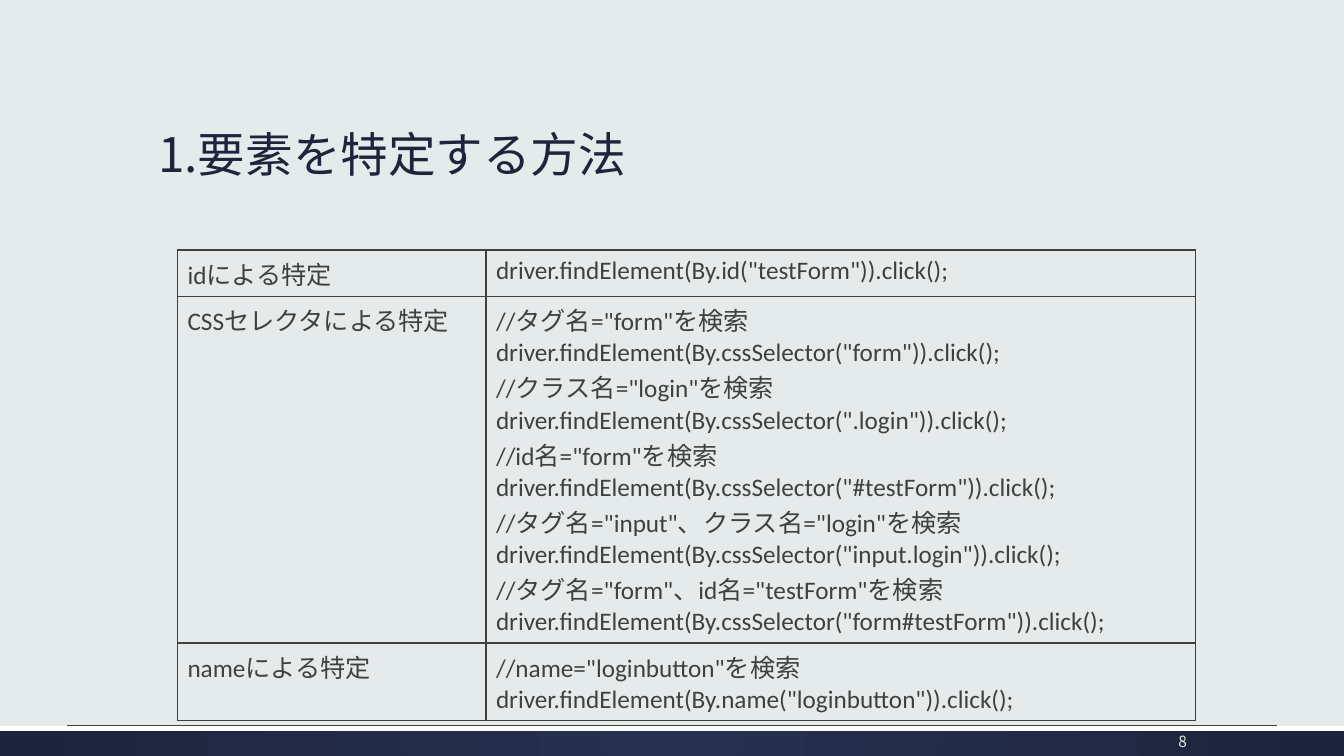
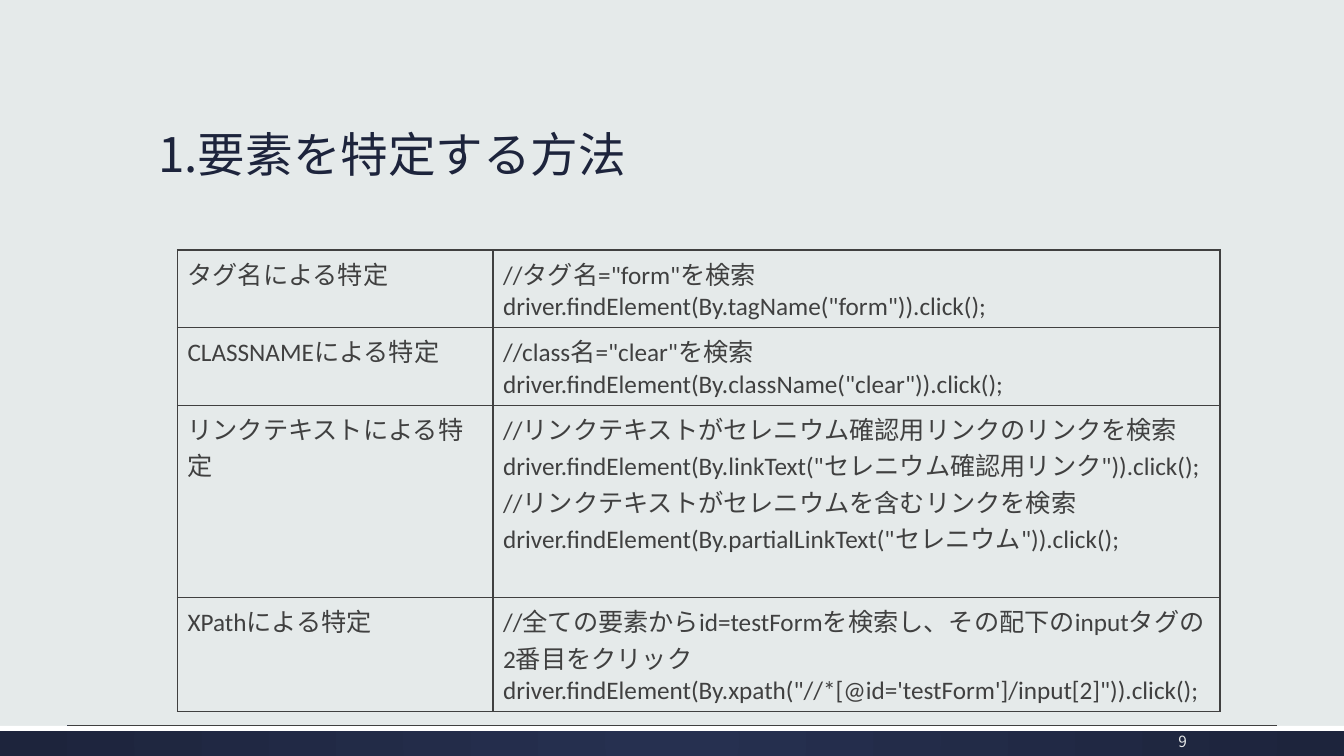
"""Build two slides with tables of ways to locate page elements."""
from lxml import etree
from pptx import Presentation
from pptx.dml.color import RGBColor
from pptx.enum.shapes import MSO_CONNECTOR, MSO_SHAPE
from pptx.enum.text import MSO_ANCHOR, MSO_AUTO_SIZE, PP_ALIGN
from pptx.oxml import parse_xml
from pptx.oxml.ns import nsdecls, qn
from pptx.util import Inches, Pt

RECT = MSO_SHAPE.RECTANGLE
STRAIGHT = MSO_CONNECTOR.STRAIGHT
LEFT, RIGHT = PP_ALIGN.LEFT, PP_ALIGN.RIGHT
TOP, MIDDLE, BOTTOM = MSO_ANCHOR.TOP, MSO_ANCHOR.MIDDLE, MSO_ANCHOR.BOTTOM

BACKGROUND, NAVY, NAVY_LIGHT = "E5EAEA", "1D243C", "263050"
WHITE, GREY, PALE = "FFFFFF", "404040", "E5E8E8"
CJK, LATIN = "Noto Sans CJK JP", "Calibri"

STYLES = {
    "title": {"font": CJK, "size": 34, "color": NAVY, "align": LEFT, "spacing": 0.9},
    "number": {"font": CJK, "size": 11, "color": PALE, "align": RIGHT, "spacing": 1},
    "cell": {"font": LATIN, "size": 18, "color": GREY, "align": LEFT, "spacing": 1},
}

WIDTH, HEIGHT = 13.33, 7.5
BAND_TOP, BAND_HEIGHT, STRIPE_HEIGHT = 7.2, 0.3, 0.05
RULE_LEFT, RULE_RIGHT = 0.67, 12.67
TITLE_BOX = (1.47, 0.51, 10.4, 1.35)
NUMBER_BOX = (11.17, 7.23, 0.7, 0.26)
TABLE_LEFT, TABLE_TOP = 1.76, 2.48
FIRST_NUMBER = 8

TITLE = "1.要素を特定する方法"
SLIDES = [
    {
        "columns": (3.06, 7.04),
        "heights": (0.46, 3.44, 0.77),
        "rows": [
            ("idによる特定", ['driver.findElement(By.id("testForm")).click();']),
            ("CSSセレクタによる特定", [
                '//タグ名="form"を検索',
                'driver.findElement(By.cssSelector("form")).click();',
                '//クラス名="login"を検索',
                'driver.findElement(By.cssSelector(".login")).click();',
                '//id名="form"を検索',
                'driver.findElement(By.cssSelector("#testForm")).click();',
                '//タグ名="input"、クラス名="login"を検索',
                'driver.findElement(By.cssSelector("input.login")).click();',
                '//タグ名="form"、id名="testForm"を検索',
                'driver.findElement(By.cssSelector("form#testForm")).click();',
            ]),
            ("nameによる特定", [
                '//name="loginbutton"を検索',
                'driver.findElement(By.name("loginbutton")).click();',
            ]),
        ],
    },
    {
        "columns": (3.13, 7.21),
        "heights": (0.77, 0.77, 1.91, 1.13),
        "rows": [
            ("タグ名による特定", [
                '//タグ名="form"を検索',
                'driver.findElement(By.tagName("form")).click();',
            ]),
            ("CLASSNAMEによる特定", [
                '//class名="clear"を検索',
                'driver.findElement(By.className("clear")).click();',
            ]),
            ("リンクテキストによる特定", [
                "//リンクテキストがセレニウム確認用リンクのリンクを検索",
                'driver.findElement(By.linkText("セレニウム確認用リンク")).click();',
                "//リンクテキストがセレニウムを含むリンクを検索",
                'driver.findElement(By.partialLinkText("セレニウム")).click();',
            ]),
            ("XPathによる特定", [
                "//全ての要素からid=testFormを検索し、その配下のinputタグの2番目をクリック",
                "driver.findElement(By.xpath(\"//*[@id='testForm']/input[2]\")).click();",
            ]),
        ],
    },
]


def rgb(color):
    return RGBColor.from_string(color)


def inches(box):
    return [Inches(v) for v in box]


def write(tf, lines, style):
    for i, line in enumerate(lines):
        p = tf.paragraphs[0] if i == 0 else tf.add_paragraph()
        p.alignment, p.line_spacing = style["align"], style["spacing"]
        r = p.add_run()
        r.text = line
        values = {"name": style["font"], "size": Pt(style["size"]), "bold": False}
        for name, value in values.items():
            setattr(r.font, name, value)
        r.font.color.rgb = rgb(style["color"])
        ea = etree.SubElement(r.font._element, qn("a:ea"))
        ea.set("typeface", CJK)


def add_band(s, top, height):
    sp = s.shapes.add_shape(RECT, *inches((0, top, WIDTH, height)))
    sp.shadow.inherit = False
    sp.line.fill.background()
    return sp


def add_footer(s, layout):
    band = add_band(s, BAND_TOP, BAND_HEIGHT)
    band.fill.gradient()
    for stop, color in zip(band.fill.gradient_stops, (NAVY_LIGHT, NAVY)):
        stop.color.rgb = rgb(color)
    grad = band.element.spPr.find(qn("a:gradFill"))
    grad.remove(grad.find(qn("a:lin")))
    grad.append(parse_xml(
        f'<a:path {nsdecls("a")} path="circle">'
        '<a:fillToRect l="50000" t="50000" r="50000" b="50000"/></a:path>'))

    stripe = add_band(s, BAND_TOP, STRIPE_HEIGHT)
    stripe.fill.solid()
    stripe.fill.fore_color.rgb = rgb(WHITE)

    rule = s.shapes.add_connector(
        STRAIGHT, *inches((RULE_LEFT, BAND_TOP, RULE_RIGHT, BAND_TOP)))
    rule.line.color.rgb = rgb(GREY)
    rule.line.width = Pt(0.75)
    etree.SubElement(rule.element.spPr, qn("a:effectLst"))

    for i, part in enumerate((band, stripe, rule)):
        part.element.xpath(".//p:cNvPr")[0].set("id", str(100 + i))
        layout.shapes.element.append(part.element)


def add_title(s):
    sp = s.shapes.title
    sp.left, sp.top, sp.width, sp.height = inches(TITLE_BOX)
    tf = sp.text_frame
    tf.auto_size = MSO_AUTO_SIZE.NONE
    tf.vertical_anchor = BOTTOM
    write(tf, [TITLE], STYLES["title"])


def add_number(s, number):
    tf = s.shapes.add_textbox(*inches(NUMBER_BOX)).text_frame
    tf.word_wrap = True
    tf.vertical_anchor = MIDDLE
    write(tf, [str(number)], STYLES["number"])


def add_borders(cell):
    tc_pr = cell._tc.get_or_add_tcPr()
    for side in "LRTB":
        tc_pr.append(parse_xml(
            f'<a:ln{side} {nsdecls("a")} w="{Pt(1)}"><a:solidFill>'
            f'<a:srgbClr val="{GREY}"/></a:solidFill></a:ln{side}>'))


def add_methods(s, columns, heights, rows):
    box = (TABLE_LEFT, TABLE_TOP, sum(columns), sum(heights))
    table = s.shapes.add_table(len(rows), len(columns), *inches(box)).table
    table.first_row = table.horz_banding = False
    for column, width in zip(table.columns, columns):
        column.width = Inches(width)
    for row, height, (method, code) in zip(table.rows, heights, rows):
        row.height = Inches(height)
        for cell, lines in zip(row.cells, ([method], code)):
            add_borders(cell)
            cell.fill.background()
            cell.vertical_anchor = TOP
            write(cell.text_frame, lines, STYLES["cell"])


def main():
    prs = Presentation()
    prs.slide_width, prs.slide_height = inches((WIDTH, HEIGHT))
    fill = prs.slide_master.background.fill
    fill.solid()
    fill.fore_color.rgb = rgb(BACKGROUND)
    layout = prs.slide_layouts.get_by_name("Title Only")
    for i, content in enumerate(SLIDES):
        s = prs.slides.add_slide(layout)
        if i == 0:
            add_footer(s, layout)
        add_title(s)
        add_number(s, FIRST_NUMBER + i)
        add_methods(s, **content)
    prs.save("out.pptx")


if __name__ == "__main__":
    main()
